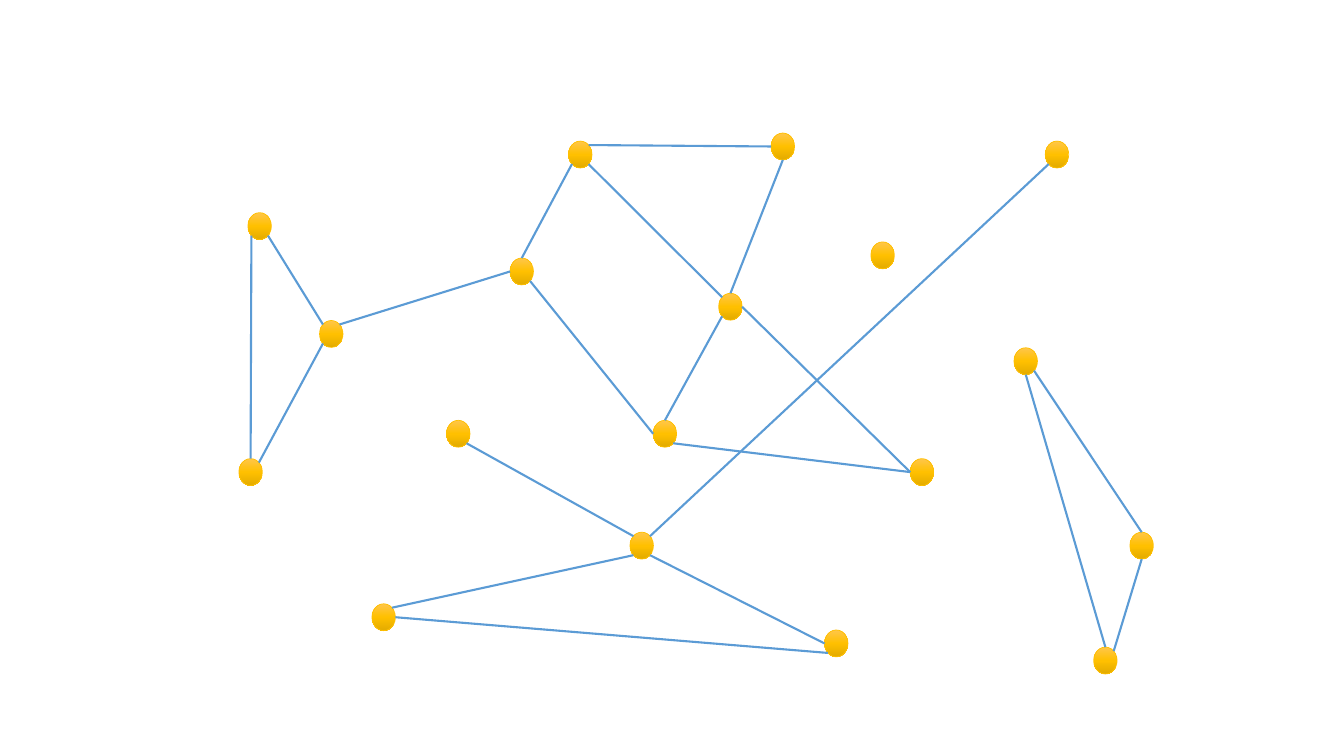
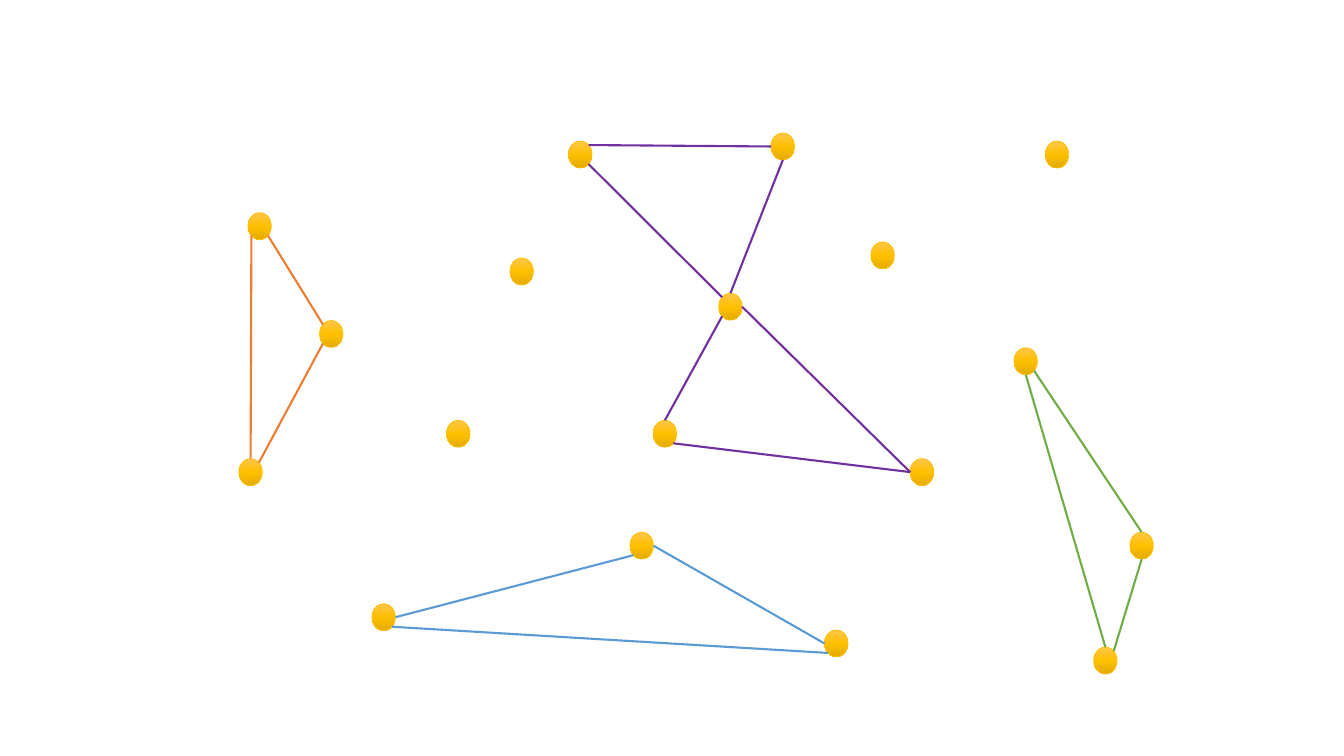
import copy
import enum
import math
import typing
from dataclasses import dataclass

import pptx
import pptx.dml.color
import pptx.dml.line
import pptx.enum.shapes
import pptx.oxml
import pptx.oxml.ns
import pptx.shapes.connector
import pptx.slide
import pptx.util

RGBColor = pptx.dml.color.RGBColor

# Grid: one step is a hundredth of an inch
STEP = pptx.util.Inches(0.01)
SLIDE_COLUMNS, SLIDE_ROWS = 1333.33, 750
NODE_COLUMNS, NODE_ROWS = 23.3, 26.7

# Colours and line widths
GOLD_LIGHT = RGBColor(0xFF, 0xC6, 0x4B)
GOLD = RGBColor(0xFF, 0xC0, 0x00)
GOLD_DARK = RGBColor(0xE3, 0xAB, 0x00)
BLUE = RGBColor(0x5B, 0x9B, 0xD5)
PURPLE = RGBColor(0x70, 0x30, 0xA0)
ORANGE = RGBColor(0xED, 0x7D, 0x31)
GREEN = RGBColor(0x70, 0xAD, 0x47)
GOLD_STOPS = (
    {"position": 0.0, "color": GOLD_LIGHT},
    {"position": 0.5, "color": GOLD},
    {"position": 1.0, "color": GOLD_DARK},
)
NODE_LINE = pptx.util.Pt(0.5)
EDGE_LINE = pptx.util.Pt(1.5)


class Site(enum.Enum):
    """Points on a node's rim, as degrees clockwise from the right."""

    RIGHT = 0
    BOTTOM_RIGHT = 45
    BOTTOM = 90
    BOTTOM_LEFT = 135
    LEFT = 180
    TOP_LEFT = 225
    TOP = 270
    TOP_RIGHT = 315


@dataclass(frozen=True)
class Node:
    column: float
    row: float

    def rim(self, site: Site) -> tuple[int, int]:
        angle = math.radians(site.value)
        return (
            steps(self.column + NODE_COLUMNS / 2 * (1 + math.cos(angle))),
            steps(self.row + NODE_ROWS / 2 * (1 + math.sin(angle))),
        )


@dataclass(frozen=True)
class Edge:
    start: Node
    start_site: Site
    end: Node
    end_site: Site


@dataclass(frozen=True)
class Group:
    color: RGBColor
    edges: tuple[Edge, ...]


# Nodes of the graph
WEST_TOP, WEST_LOW, WEST_TIP = Node(246, 211), Node(237, 455), Node(317, 318)
BOW_NW, BOW_NE, BOW_KNOT = Node(564, 140), Node(765, 132), Node(713, 291)
BOW_SW, BOW_SE = Node(648, 417), Node(903, 455)
SOUTH_TOP, SOUTH_LEFT, SOUTH_RIGHT = Node(625, 528), Node(369, 599), Node(818, 625)
EAST_TOP, EAST_RIGHT, EAST_LOW = Node(1006, 345), Node(1121, 528), Node(1085, 642)
BRIDGE, LEAF, FAR_LEAF, ISOLATED = (
    Node(506, 256), Node(443, 417), Node(1037, 140), Node(864, 240)
)
NODES = (
    WEST_TOP, WEST_LOW, WEST_TIP,
    BOW_NW, BOW_NE, BOW_KNOT, BOW_SW, BOW_SE,
    SOUTH_TOP, SOUTH_LEFT, SOUTH_RIGHT,
    EAST_TOP, EAST_RIGHT, EAST_LOW,
    BRIDGE, LEAF, FAR_LEAF, ISOLATED,
)

# Edges that form triangles
WEST = (
    Edge(WEST_TOP, Site.BOTTOM_RIGHT, WEST_TIP, Site.TOP_LEFT),
    Edge(WEST_TIP, Site.BOTTOM_LEFT, WEST_LOW, Site.TOP_RIGHT),
    Edge(WEST_TOP, Site.BOTTOM_LEFT, WEST_LOW, Site.TOP),
)
BOW = (
    Edge(BOW_KNOT, Site.BOTTOM_LEFT, BOW_SW, Site.TOP),
    Edge(BOW_KNOT, Site.RIGHT, BOW_SE, Site.LEFT),
    Edge(BOW_SW, Site.BOTTOM_RIGHT, BOW_SE, Site.LEFT),
    Edge(BOW_NW, Site.BOTTOM_RIGHT, BOW_KNOT, Site.TOP_LEFT),
    Edge(BOW_NE, Site.BOTTOM, BOW_KNOT, Site.TOP),
    Edge(BOW_NW, Site.TOP_RIGHT, BOW_NE, Site.LEFT),
)
EAST = (
    Edge(EAST_TOP, Site.BOTTOM, EAST_LOW, Site.TOP),
    Edge(EAST_TOP, Site.BOTTOM_RIGHT, EAST_RIGHT, Site.TOP),
    Edge(EAST_RIGHT, Site.BOTTOM, EAST_LOW, Site.TOP_RIGHT),
)
SOUTH_IN_GRAPH = (
    Edge(SOUTH_LEFT, Site.RIGHT, SOUTH_RIGHT, Site.BOTTOM_LEFT),
    Edge(SOUTH_TOP, Site.BOTTOM_LEFT, SOUTH_LEFT, Site.TOP_RIGHT),
    Edge(SOUTH_TOP, Site.BOTTOM_RIGHT, SOUTH_RIGHT, Site.LEFT),
)
SOUTH_ALONE = (
    Edge(SOUTH_LEFT, Site.RIGHT, SOUTH_TOP, Site.BOTTOM_LEFT),
    Edge(SOUTH_TOP, Site.RIGHT, SOUTH_RIGHT, Site.LEFT),
    Edge(SOUTH_LEFT, Site.BOTTOM_RIGHT, SOUTH_RIGHT, Site.BOTTOM_LEFT),
)

# Edges outside any triangle
LINKS = (
    Edge(SOUTH_TOP, Site.TOP_LEFT, LEAF, Site.BOTTOM_RIGHT),
    Edge(SOUTH_TOP, Site.TOP_RIGHT, FAR_LEAF, Site.BOTTOM_LEFT),
    Edge(WEST_TIP, Site.TOP_RIGHT, BRIDGE, Site.LEFT),
    Edge(BOW_NW, Site.BOTTOM_LEFT, BRIDGE, Site.TOP),
    Edge(BRIDGE, Site.BOTTOM_RIGHT, BOW_SW, Site.LEFT),
)

# One entry per slide: the whole graph, then its triangle groups
SLIDES = (
    (Group(BLUE, BOW + WEST + EAST + SOUTH_IN_GRAPH + LINKS),),
    (
        Group(PURPLE, BOW),
        Group(ORANGE, WEST),
        Group(GREEN, EAST),
        Group(BLUE, SOUTH_ALONE),
    ),
)


def steps(count: float) -> int:
    return round(count * STEP)


def apply_format(target: typing.Any, values: dict[str, typing.Any]) -> None:
    for name, value in values.items():
        if name == "color":
            target.color.rgb = value
        else:
            setattr(target, name, value)


def draw_node(slide: pptx.slide.Slide, node: Node) -> None:
    dot = slide.shapes.add_shape(
        pptx.enum.shapes.MSO_SHAPE.OVAL,
        steps(node.column), steps(node.row), steps(NODE_COLUMNS), steps(NODE_ROWS),
    )
    dot.shadow.inherit = False
    apply_format(dot.line, {"color": GOLD, "width": NODE_LINE})
    dot.fill.gradient()
    dot.fill.gradient_angle = 270
    # A new gradient has two stops; the gold one needs a third
    stop_list = dot._element.spPr.find(".//" + pptx.oxml.ns.qn("a:gsLst"))
    stop_list.append(copy.deepcopy(stop_list[0]))
    for stop, values in zip(dot.fill.gradient_stops, GOLD_STOPS):
        apply_format(stop, values)


def draw_edge(slide: pptx.slide.Slide, edge: Edge, color: RGBColor) -> None:
    link = slide.shapes.add_connector(
        pptx.enum.shapes.MSO_CONNECTOR.STRAIGHT,
        *edge.start.rim(edge.start_site), *edge.end.rim(edge.end_site),
    )
    apply_format(link.line, {"color": color, "width": EDGE_LINE})
    link._element.spPr.append(pptx.oxml.parse_xml(
        f"<a:effectLst {pptx.oxml.ns.nsdecls('a')}/>"
    ))


def draw_graph(slide: pptx.slide.Slide, groups: tuple[Group, ...]) -> None:
    for node in NODES:
        draw_node(slide, node)
    for group in groups:
        for edge in group.edges:
            draw_edge(slide, edge, group.color)


deck = pptx.Presentation()
apply_format(deck, {
    "slide_width": steps(SLIDE_COLUMNS),
    "slide_height": steps(SLIDE_ROWS),
})
blank_layout = deck.slide_layouts.get_by_name("Blank")
for groups in SLIDES:
    draw_graph(deck.slides.add_slide(blank_layout), groups)
deck.save("out.pptx")
